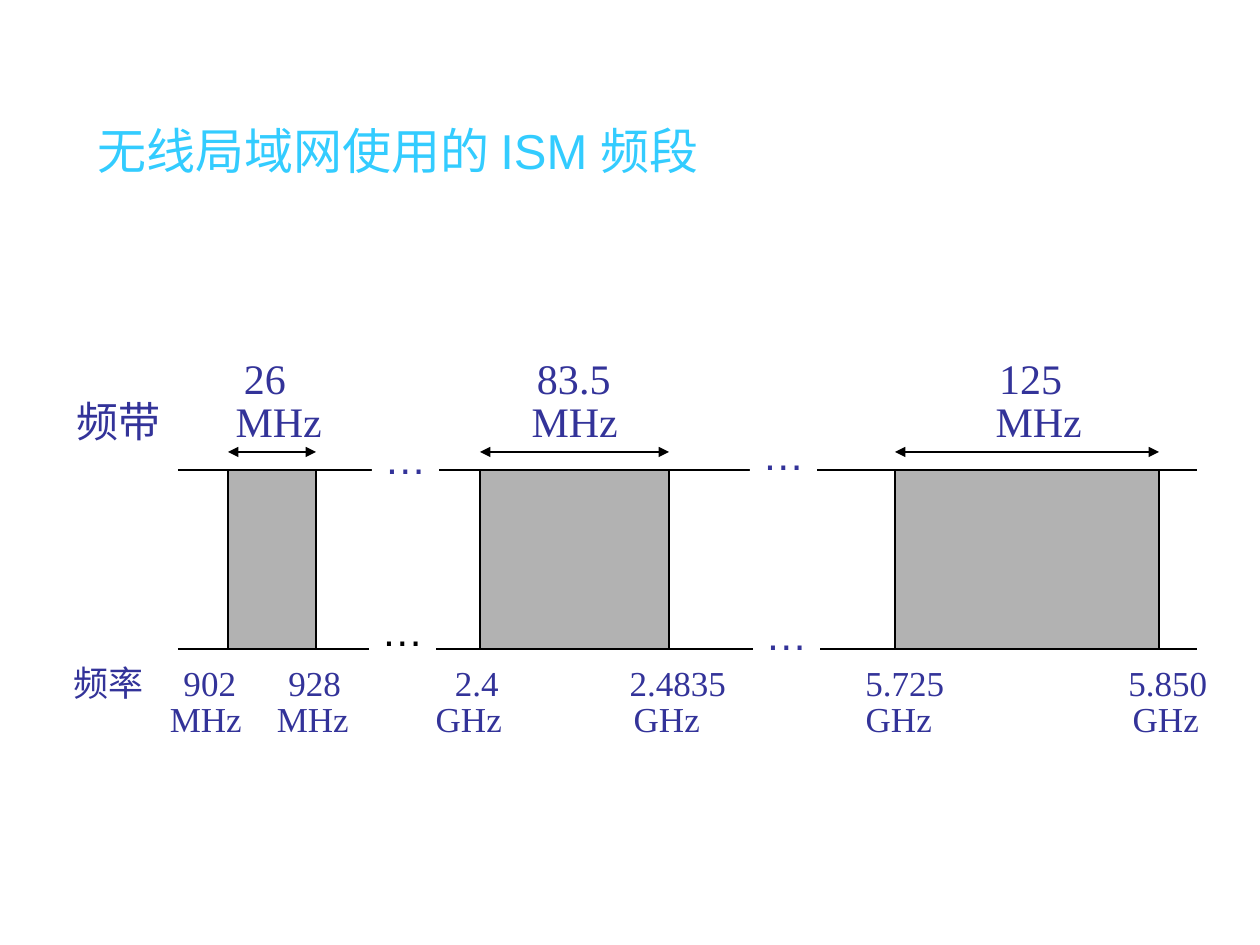
from lxml.etree import SubElement
from pptx import Presentation
from pptx.dml.color import RGBColor as Rgb
from pptx.enum.shapes import MSO_CONNECTOR as Link, MSO_SHAPE as Shape
from pptx.enum.text import MSO_ANCHOR as Anchor, MSO_AUTO_SIZE as Fit, PP_ALIGN as Align
from pptx.oxml.ns import qn
from pptx.util import Emu, Pt

SCALE = 914400 / 126
COLORS = {"title": "33CCFF", "text": "333399", "line": "000000",
          "band": "B2B2B2", "paper": "FFFFFF"}
SANS, SERIF = "Arial", "Times New Roman"


def px(*nums):
    return [Emu(round(n * SCALE)) for n in nums]


def hue(name):
    return Rgb.from_string(COLORS[name])


class Deck:
    """Holds the style and the current slide."""

    def __init__(self):
        self.file = Presentation()
        self.file.slide_width, self.file.slide_height = px(1260, 945)
        self.slide = self.file.slides.add_slide(self.file.slide_layouts[5])
        self.shapes = self.slide.shapes

    def style(self, frame, font, size, color):
        frame.auto_size = Fit.NONE
        for para in frame.paragraphs:
            para.alignment = Align.LEFT
            for run in para.runs:
                run.font.name = font
                run.font.size = Pt(size)
                run.font.color.rgb = hue(color)

    def title(self, text, box):
        head = self.shapes.title
        head.left, head.top, head.width, head.height = px(*box)
        frame = head.text_frame
        frame.text = text
        frame.vertical_anchor = Anchor.MIDDLE
        frame.margin_left = px(34)[0]
        self.style(frame, SANS, 28, "title")

    def labels(self, box, size, rows):
        """Write rows of text, each centred on its own tab stops."""
        frame = self.shapes.add_textbox(*px(*box)).text_frame
        frame.word_wrap = True
        frame.text = "\n".join("\t".join(words) for words, _ in rows)
        for para, (_, stops) in zip(frame.paragraphs, rows):
            para.line_spacing = 0.85
            tabs = SubElement(para._p.get_or_add_pPr(), qn("a:tabLst"))
            for stop in stops:
                pos = px(stop - box[0])[0] - frame.margin_left
                SubElement(tabs, qn("a:tab"), pos=str(pos), algn="ctr")
        self.style(frame, SERIF, size, "text")

    def line(self, left, right, y, heads=False):
        link = self.shapes.add_connector(Link.STRAIGHT, *px(left, y, right, y))
        link.line.width = Pt(0.75)
        link.line.color.rgb = hue("line")
        if heads:
            for end in ("a:headEnd", "a:tailEnd"):
                SubElement(link.line._get_or_add_ln(), qn(end), type="triangle")
        SubElement(link._element.spPr, qn("a:effectLst"))

    def rect(self, box, fill, border=None):
        shape = self.shapes.add_shape(Shape.RECTANGLE, *px(*box))
        shape.shadow.inherit = False
        shape.fill.solid()
        shape.fill.fore_color.rgb = hue(fill)
        if border:
            shape.line.color.rgb = hue(border)
            shape.line.width = Pt(0.75)
        else:
            shape.line.fill.background()
        return shape

    def gap(self, left, top, color):
        """Break an axis with dots on a paper-coloured patch."""
        frame = self.rect((left, top, 67, 63), "paper").text_frame
        frame.text = "…"
        frame.word_wrap = False
        frame.vertical_anchor = Anchor.TOP
        self.style(frame, SANS, 24, color)


def main():
    deck = Deck()
    deck.title("无线局域网使用的 ISM 频段", (64, 106, 1134, 88))
    deck.labels((64, 354, 1032, 98), 24, [
        (["", "26", "83.5", "125"], [265, 574, 1031]),
        (["频带", "MHz", "MHz", "MHz"], [279, 575, 1039])])
    deck.labels((61, 662, 1161, 84), 20, [
        (["频率", "902", "928", "2.4", "2.4835", "5.725", "5.850"],
         [210, 315, 477, 678, 905, 1168]),
        (["", "MHz", "MHz", "GHz", "GHz", "GHz", "GHz"],
         [206, 313, 469, 667, 899, 1166])])

    top, base = 470, 649
    for y in (top, base):
        deck.line(178, 1197, y)
    bands = [(228, 316), (480, 669), (895, 1159)]
    for left, right in bands:
        deck.rect((left, top, right - left, base - top), "band", "line")
    for left, right in bands:
        deck.line(left, right, 452, heads=True)
    for left, y, color in [(372, 426, "text"), (369, 598, "line"),
                           (750, 422, "text"), (753, 602, "text")]:
        deck.gap(left, y, color)
    deck.file.save("out.pptx")


if __name__ == "__main__":
    main()
